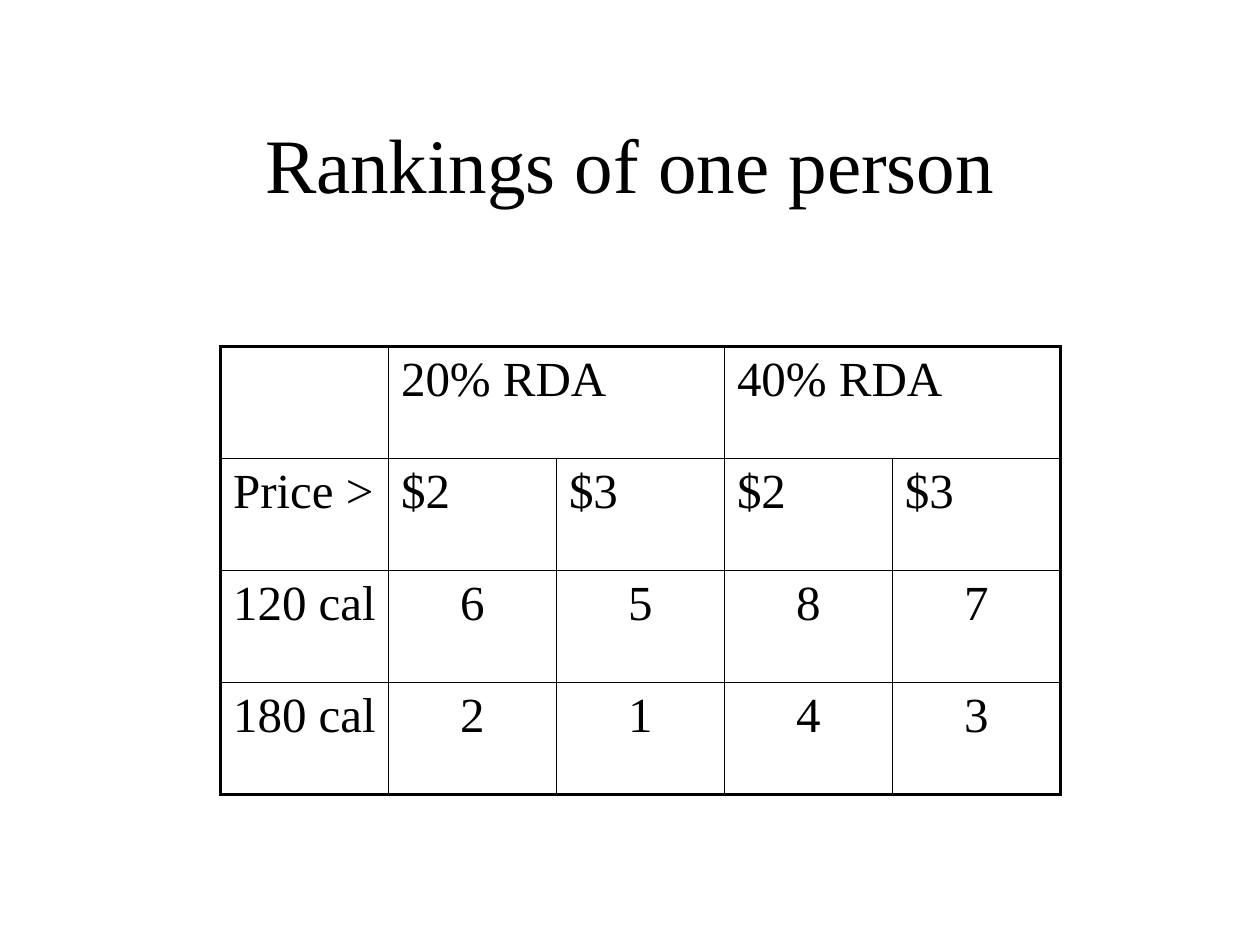
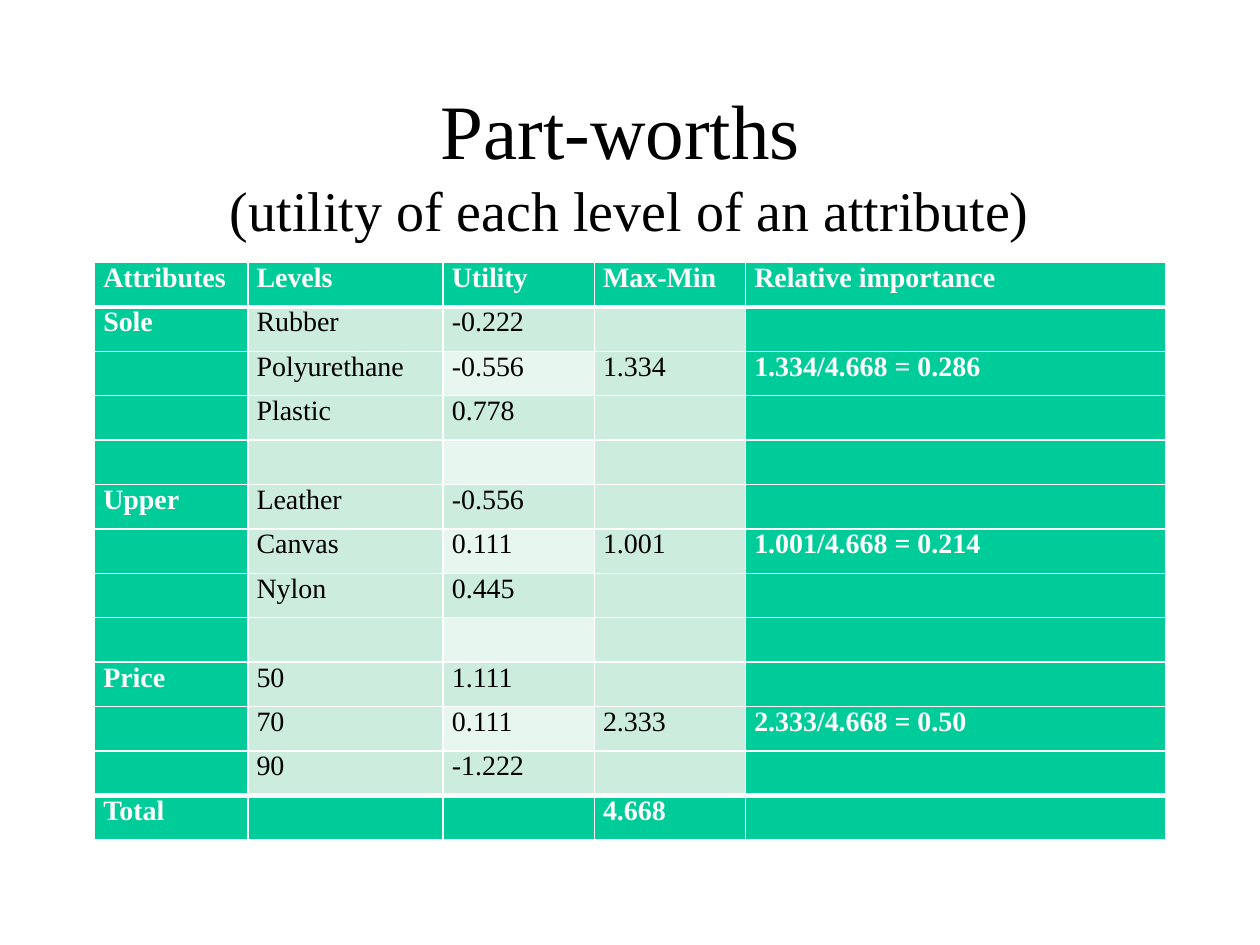
"""Builds two slides with ranking and part-worth tables."""
from dataclasses import dataclass

from lxml.etree import SubElement
from pptx import Presentation
from pptx.dml.color import RGBColor as RGB
from pptx.enum.text import MSO_ANCHOR as ANCHOR, MSO_AUTO_SIZE as AUTO, PP_ALIGN as ALIGN
from pptx.oxml.ns import qn
from pptx.util import Inches, Pt


@dataclass(frozen=True)
class Theme:
    font: str = "Times New Roman"
    ink: str = "000000"
    paper: str = "FFFFFF"
    accent: str = "00CC99"
    tint: str = "CCECDE"
    pale: str = "E7F6EF"
    title: int = 44
    subtitle: int = 32
    large: int = 28
    small: int = 16
    hairline: float = 1
    frame: float = 2.25
    rule: float = 3


class Deck:
    COLS, ROWS = 120, 90

    def __init__(self, theme):
        self.theme = theme
        self.prs = Presentation()
        self.prs.slide_width, self.prs.slide_height = Inches(10), Inches(7.5)
        self.s = None

    def x(self, cols):
        return round(self.prs.slide_width * cols / self.COLS)

    def y(self, rows):
        return round(self.prs.slide_height * rows / self.ROWS)

    def box(self, left, top, width, height):
        return self.x(left), self.y(top), self.x(width), self.y(height)

    def style(self, font, size, color, bold=False):
        font.name, font.size, font.bold = self.theme.font, Pt(size), bold
        font.color.rgb = RGB.from_string(color)

    def slide(self, title, subtitle=None):
        t = self.theme
        self.s = self.prs.slides.add_slide(self.prs.slide_layouts[5])
        sp = self.s.shapes.title
        sp.left, sp.top, sp.width, sp.height = self.box(9, 8, 102, 15)
        tf = sp.text_frame
        tf.auto_size, tf.vertical_anchor = AUTO.NONE, ANCHOR.MIDDLE
        p = tf.paragraphs[0]
        p.alignment = ALIGN.CENTER
        r = p.add_run()
        r.text = title
        self.style(r.font, t.title, t.ink)
        if subtitle:
            p.add_line_break()
            r = p.add_run()
            r.text = subtitle
            self.style(r.font, t.subtitle, t.ink)

    def table(self, left, top, widths, row_height, n_rows):
        place = self.box(left, top, sum(widths), row_height * n_rows)
        tbl = self.s.shapes.add_table(n_rows, len(widths), *place).table
        tbl.first_row = tbl.horz_banding = False
        for col, width in zip(tbl.columns, widths):
            col.width = self.x(width)
        for row in tbl.rows:
            row.height = self.y(row_height)
        return tbl

    def text(self, cell, text, size, color, bold=False, align=ALIGN.LEFT, before=0):
        p = cell.text_frame.paragraphs[0]
        p.text, p.alignment, p.space_before = text, align, Pt(before)
        self.style(p.font, size, color, bold)

    def fill(self, cell, color=None):
        if color:
            cell.fill.solid()
            cell.fill.fore_color.rgb = RGB.from_string(color)
        else:
            cell.fill.background()

    def borders(self, cell, color, left, right, top, bottom):
        tcPr = cell._tc.get_or_add_tcPr()
        for i, (side, width) in enumerate(zip("LRTB", (left, right, top, bottom))):
            ln = SubElement(tcPr, qn(f"a:ln{side}"), w=str(Pt(width)))
            SubElement(SubElement(ln, qn("a:solidFill")), qn("a:srgbClr"), val=color)
            tcPr.insert(i, ln)

    def framed_table(self, left, top, widths, row_height, data, spans):
        t = self.theme
        tbl = self.table(left, top, widths, row_height, len(data))
        last_row, last_col = len(data) - 1, len(widths) - 1
        for i, row in enumerate(data):
            for j, value in enumerate(row):
                cell = tbl.cell(i, j)
                self.fill(cell)
                edges = j == 0, j == last_col, i == 0, i == last_row
                self.borders(cell, t.ink, *(t.frame if e else t.hairline for e in edges))
                if value:
                    align = ALIGN.CENTER if value.isdigit() else ALIGN.LEFT
                    self.text(cell, value, t.large, t.ink, align=align, before=t.large * 0.2)
        for i, first, last in spans:
            tbl.cell(i, first).merge(tbl.cell(i, last))
            self.borders_right(tbl.cell(i, first), t.frame if last == last_col else t.hairline)

    def borders_right(self, cell, width):
        cell._tc.tcPr.find(qn("a:lnR")).set("w", str(Pt(width)))

    def banded_table(self, left, top, widths, row_height, data):
        t = self.theme
        tbl = self.table(left, top, widths, row_height, len(data))
        last_row, last_col = len(data) - 1, len(widths) - 1
        for i, row in enumerate(data):
            for j, value in enumerate(row):
                cell = tbl.cell(i, j)
                strong = i in (0, last_row) or j in (0, last_col)
                tint = t.pale if j == 2 and i % 2 == 0 else t.tint
                self.fill(cell, t.accent if strong else tint)
                cell.margin_left = cell.margin_right = Inches(0.07)
                cell.margin_top = cell.margin_bottom = 0
                above = t.rule if i in (1, last_row) else t.hairline
                below = t.rule if i in (0, last_row - 1) else t.hairline
                self.borders(cell, t.paper, t.hairline, t.hairline, above, below)
                if value:
                    self.text(cell, value, t.small, t.paper if strong else t.ink, strong)


RANKINGS = [
    ("", "20% RDA", "", "40% RDA", ""),
    ("Price >", "$2", "$3", "$2", "$3"),
    ("120 cal", "6", "5", "8", "7"),
    ("180 cal", "2", "1", "4", "3"),
]
PART_WORTHS = [
    ("Attributes", "Levels", "Utility", "Max-Min", "Relative importance"),
    ("Sole", "Rubber", "-0.222", "", ""),
    ("", "Polyurethane", "-0.556", "1.334", "1.334/4.668 = 0.286"),
    ("", "Plastic", "0.778", "", ""),
    ("",) * 5,
    ("Upper", "Leather", "-0.556", "", ""),
    ("", "Canvas", "0.111", "1.001", "1.001/4.668 = 0.214"),
    ("", "Nylon", "0.445", "", ""),
    ("",) * 5,
    ("Price", "50", "1.111", "", ""),
    ("", "70", "0.111", "2.333", "2.333/4.668 = 0.50"),
    ("", "90", "-1.222", "", ""),
    ("Total", "", "", "4.668", ""),
]

deck = Deck(Theme())
deck.slide("Rankings of one person")
deck.framed_table(21, 33, [16] * 5, 32 / 3, RANKINGS, [(0, 1, 2), (0, 3, 4)])
deck.slide("Part-worths ", "(utility of each level of an attribute)")
deck.banded_table(9, 25, [14.6, 18.6, 14.4, 14.4, 40], 55 / 13, PART_WORTHS)
deck.prs.save("out.pptx")
